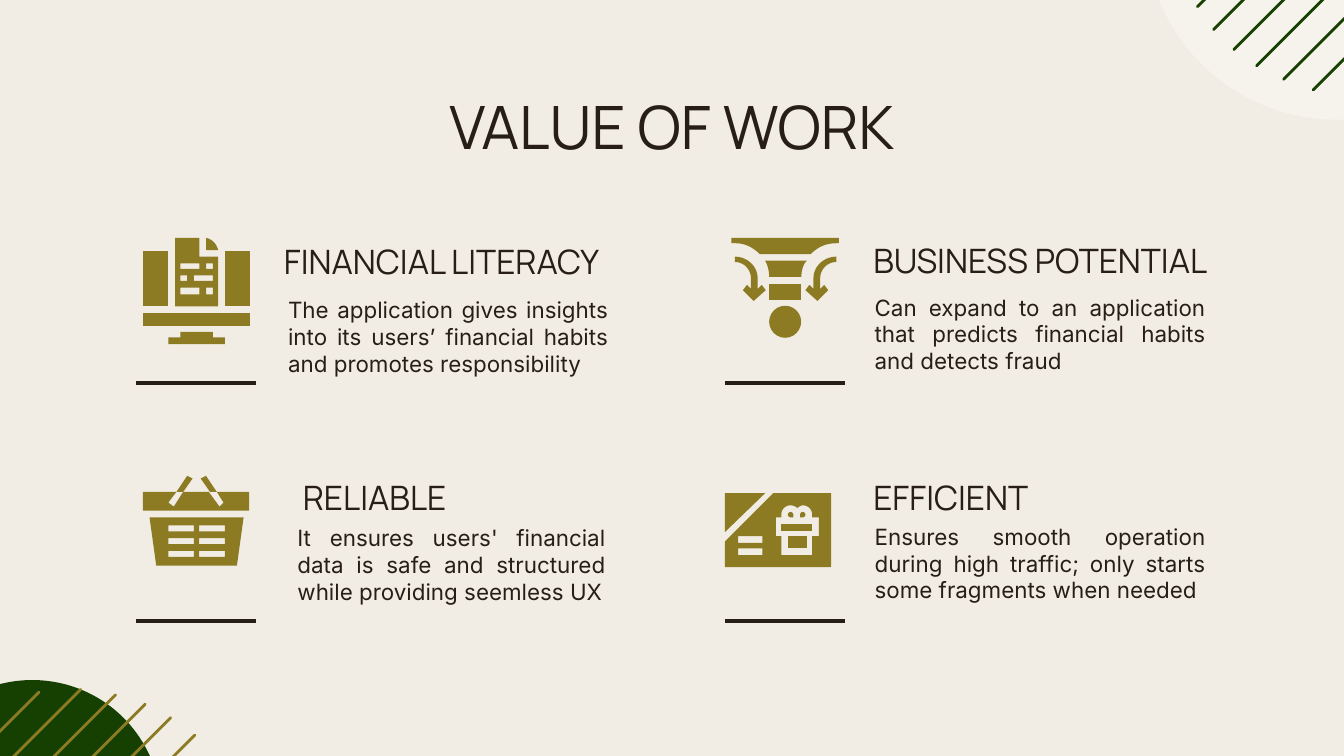
import dataclasses

import pptx
import pptx.dml.color
import pptx.enum.shapes
import pptx.enum.text
import pptx.oxml
import pptx.oxml.ns
import pptx.util

ALIGN = pptx.enum.text.PP_ALIGN
ANCHOR = pptx.enum.text.MSO_ANCHOR
SHAPE = pptx.enum.shapes.MSO_SHAPE
CONNECTOR = pptx.enum.shapes.MSO_CONNECTOR


@dataclasses.dataclass(frozen=True)
class Theme:
    paper: str = "F2EDE4"
    ink: str = "261E17"
    green: str = "154001"
    gold: str = "8C7B23"
    white: str = "FFFFFF"
    display: str = "Manrope"
    body: str = "Inter"
    title_size: float = 32
    heading_size: float = 18
    body_size: float = 12
    rule_width: float = 2.25
    stripe_width: float = 1.5


class Deck:
    """Places elements on a grid of 100 columns with square cells."""

    def __init__(self, theme):
        self.theme = theme
        self.prs = pptx.Presentation()
        self.prs.slide_width = pptx.util.Inches(10)
        self.prs.slide_height = self.prs.slide_width * 9 // 16
        self.s = self.prs.slides.add_slide(self.prs.slide_layouts[6])
        self.paint(self.s.background.fill, theme.paper)

    def cells(self, *lengths):
        return [round(n * self.prs.slide_width / 100) for n in lengths]

    def paint(self, fill, color):
        fill.solid()
        fill.fore_color.rgb = pptx.dml.color.RGBColor.from_string(color)

    def finish(self, sp, color):
        sp.shadow.inherit = False
        sp.line.fill.background()
        self.paint(sp.fill, color)

    def text(self, box, text, font, size, align=ALIGN.LEFT, anchor=ANCHOR.TOP):
        tf = self.s.shapes.add_textbox(*self.cells(*box)).text_frame
        tf.word_wrap = True
        tf.vertical_anchor = anchor
        tf.margin_left, tf.margin_top, tf.margin_right, tf.margin_bottom = self.cells(1, 1, 1, 1)
        tf.text = text
        p = tf.paragraphs[0]
        p.alignment = align
        r = p.runs[0]
        r.font.name = font
        r.font.size = pptx.util.Pt(size)
        r.font.color.rgb = pptx.dml.color.RGBColor.from_string(self.theme.ink)

    def line(self, x1, y1, x2, y2, color, width, cap="flat"):
        sp = self.s.shapes.add_connector(CONNECTOR.STRAIGHT, *self.cells(x1, y1, x2, y2))
        self.paint(sp.line.fill, color)
        sp.line.width = pptx.util.Pt(width)
        sp.line._get_or_add_ln().set("cap", cap)
        sp._element.spPr.append(pptx.oxml.parse_xml(
            '<a:effectLst xmlns:a="http://schemas.openxmlformats.org/drawingml/2006/main"/>'))

    def circle(self, x, y, size, color, opacity=100):
        sp = self.s.shapes.add_shape(SHAPE.OVAL, *self.cells(x, y, size, size))
        self.finish(sp, color)
        if opacity < 100:
            clr = sp._element.spPr.find(".//" + pptx.oxml.ns.qn("a:srgbClr"))
            alpha = clr.makeelement(pptx.oxml.ns.qn("a:alpha"), {"val": str(opacity * 1000)})
            clr.append(alpha)

    def icon(self, x, y, parts):
        """Draw parts, each an outline followed by holes, in tenths of a cell."""
        for part in parts:
            contours = [[self.cells(x + px / 10, y + py / 10) for px, py in c] for c in part]
            builder = self.s.shapes.build_freeform(*contours[0][0], scale=1.0)
            for i, contour in enumerate(contours):
                if i:
                    builder.move_to(*contour[0])
                builder.add_line_segments(contour[1:], close=True)
            self.finish(builder.convert_to_shape(), self.theme.gold)


def rect(x, y, w, h):
    return [(x, y), (x, y + h), (x + w, y + h), (x + w, y)]


def curve(a, b, c, d, steps=10):
    """Points along a cubic Bezier curve."""
    ts = [i / steps for i in range(steps + 1)]
    return [tuple((1 - t) ** 3 * p + 3 * (1 - t) ** 2 * t * q + 3 * (1 - t) * t * t * u + t ** 3 * v
                  for p, q, u, v in zip(a, b, c, d)) for t in ts]


def mirror(contour, width):
    return [(width - x, y) for x, y in contour]


def computer():
    page = [(24, 0), (24, 51), (56, 51), (56, 14), (42, 14), (42, 0)]
    words = [rect(*w) for w in [(28, 19, 14, 4), (47, 19, 5, 4), (28, 28, 5, 4),
                                (38, 28, 14, 4), (28, 37, 14, 5), (47, 37, 5, 5)]]
    stand = [(28, 70), (28, 74), (19, 74), (19, 79), (61, 79), (61, 74), (52, 74), (52, 70)]
    fold = [(47, 0), (47, 9), *curve((56, 9), (55, 5), (52, 1), (47, 0))]
    return [[rect(0, 56, 80, 9.5)], [rect(0, 9.5, 19, 41.5)], [rect(61, 9.5, 19, 41.5)],
            [stand], [fold], [page, *words]]


def funnel():
    arrow = [*curve((78, 14), (69, 14), (61, 21), (61, 30)), (61, 38), (58, 35), (55, 39),
             (64, 47), (72, 39), (69, 35), (66, 38),
             *curve((66, 30), (66, 24), (71, 18), (78, 18))]
    rim = [(0, 0), (0, 4), *curve((3, 4), (10, 4), (16, 7), (21, 12)),
           *curve((59, 12), (64, 7), (70, 4), (78, 4)), (80, 4), (80, 0)]
    neck = [*curve((25, 17), (27, 20), (28, 25), (28, 29)),
            *curve((52, 29), (52, 25), (53, 20), (56, 17))]
    return [[arrow], [mirror(arrow, 80.5)], [rim], [neck], [rect(28, 34, 24, 12)]]


def basket():
    handle = [(33, 0), (25, 12), (30, 12), (37, 2)]
    rim = [(0, 12), (0, 26), (79, 26), (79, 12), (55, 12), (60, 20), (57, 23), (49, 12),
           (30, 12), (23, 23), (19, 20), (25, 12)]
    body = [(5, 31), (10, 67), (70, 67), (75, 31)]
    slots = [rect(x, y, 19, 4.5) for y in (37, 46.5, 56) for x in (19, 42)]
    return [[handle], [mirror(handle, 80)], [rim], [body, *slots]]


def gift_card():
    loop = [*curve((49, 14), (48, 14), (47, 15), (47, 16)),
            *curve((47, 16), (47, 17), (48, 18), (49, 18)), (51, 18),
            *curve((51, 16), (51, 15), (50, 14), (49, 14))]
    gift = [*curve((58, 9), (62, 9), (65, 12), (65, 16)), (65, 18), (70, 18), (70, 32),
            (65, 32), (65, 46), (42, 46), (42, 32), (38, 32), (38, 18), (42, 18),
            *curve((42, 16), (42, 12), (45, 9), (49, 9)),
            *curve((49, 9), (51, 9), (53, 10), (54, 11)),
            *curve((54, 11), (55, 10), (57, 9), (58, 9))]
    card = [(36, 0), (0, 36), (0, 55), (79, 55), (79, 0)]
    return [[loop], [mirror(loop, 107)], [[(0, 0), (0, 29), (30, 0)]], [rect(47, 32, 14, 9)],
            [card, rect(10, 32, 18, 5), rect(10, 41, 18, 5), gift], [rect(42, 23, 23, 5)]]


def main():
    theme = Theme()
    deck = Deck(theme)

    deck.circle(85.2, -19.6, 28.5, theme.white, opacity=36)
    for x, y, run in [(97.7, 6.7, 17.1), (95.5, 5.9, 18.5), (93.5, 4.9, 19.5),
                      (91.8, 3.7, 20.2), (90.3, 2.2, 19.3), (89.1, 0.5, 19.5)]:
        deck.line(x + run, y - run, x, y, theme.green, theme.stripe_width, "rnd")
    deck.circle(-7.2, 50.6, 19.2, theme.green)
    for x, y, run in [(14.5, 54.7, 20), (12.7, 53.4, 19.5), (10.8, 52.4, 18.6),
                      (8.6, 51.7, 17.1), (6, 51.3, 14.9), (2.9, 51.5, 11.6)]:
        deck.line(x, y, x - run, y + run, theme.gold, theme.stripe_width, "rnd")

    deck.text((7.8, 5.7, 84.4, 7.7), "VALUE OF WORK", theme.display, theme.title_size, ALIGN.CENTER)

    values = [
        ("FINANCIAL LITERACY", (20.15, 15.8, 32.3, 6.1),
         "The application gives insights into its users’ financial habits and promotes responsibility",
         (20.45, 21.05, 25.8, 9.1)),
        ("BUSINESS POTENTIAL", (64, 15.75, 28.8, 6.1),
         "Can expand to an application that predicts financial habits and detects fraud",
         (64.1, 20.85, 26.6, 9.1)),
        ("RELIABLE", (21.55, 33.4, 23.6, 6.1),
         "It ensures users' financial data is safe and structured while providing seemless UX",
         (21.15, 38, 24.9, 9.1)),
        ("EFFICIENT", (64, 33.4, 23.6, 6.1),
         "Ensures smooth operation during high traffic; only starts some fragments when needed",
         (64.1, 37.9, 26.6, 9.1)),
    ]
    for i, (heading, heading_box, body, body_box) in enumerate(values):
        row, col = divmod(i, 2)
        deck.text(body_box, body, theme.body, theme.body_size, ALIGN.JUSTIFY)
        deck.text(heading_box, heading, theme.display, theme.heading_size, anchor=ANCHOR.BOTTOM)
        x, y = 10.12 + 43.82 * col, 28.53 + 17.67 * row
        deck.line(x, y, x + 8.95, y, theme.ink, theme.rule_width)

    deck.icon(10.63, 17.7, computer())
    deck.icon(54.43, 17.7, funnel())
    deck.circle(57.23, 22.75, 2.38, theme.gold)
    deck.icon(10.63, 35.4, basket())
    deck.icon(53.93, 36.7, gift_card())
    deck.prs.save("out.pptx")


if __name__ == "__main__":
    main()
